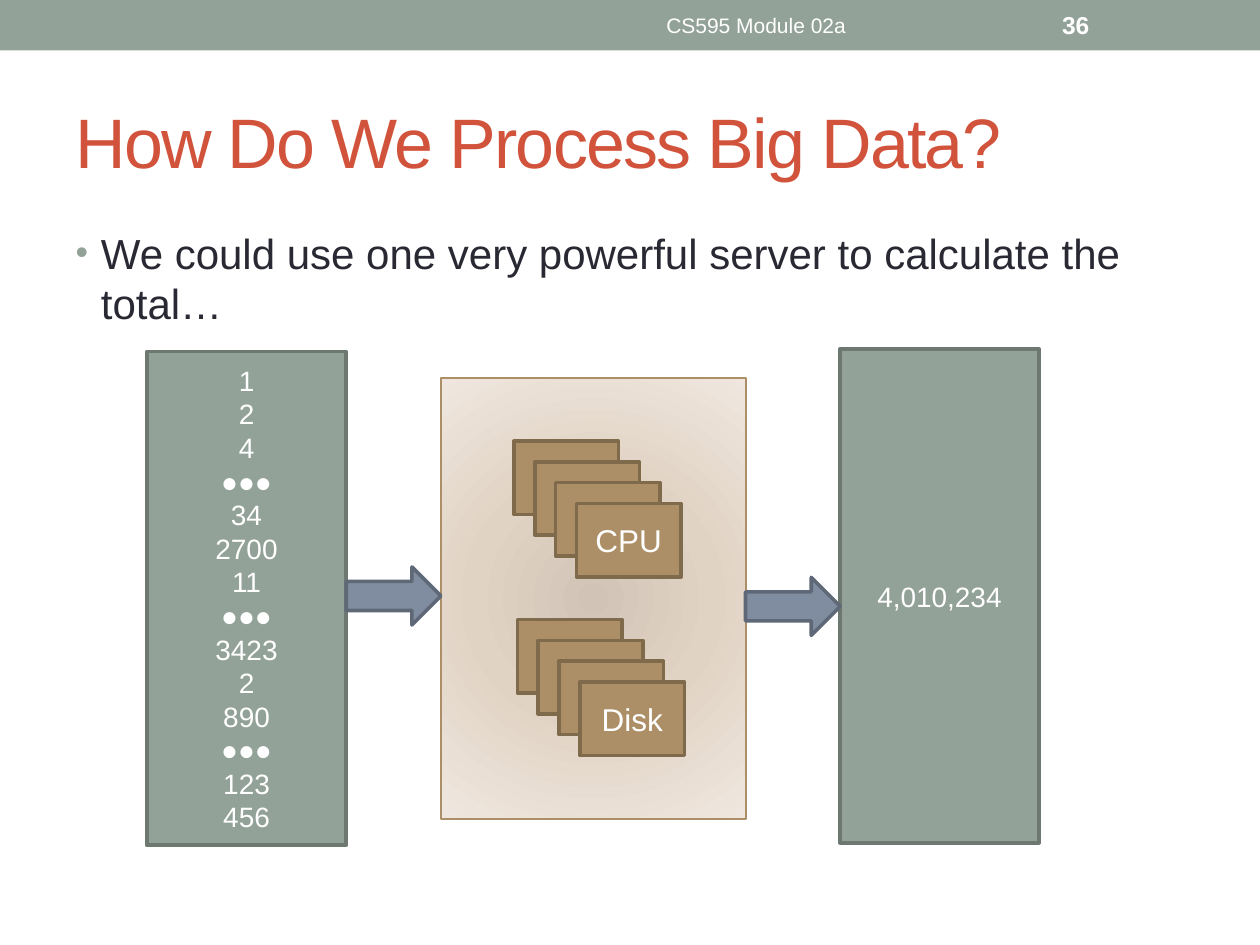
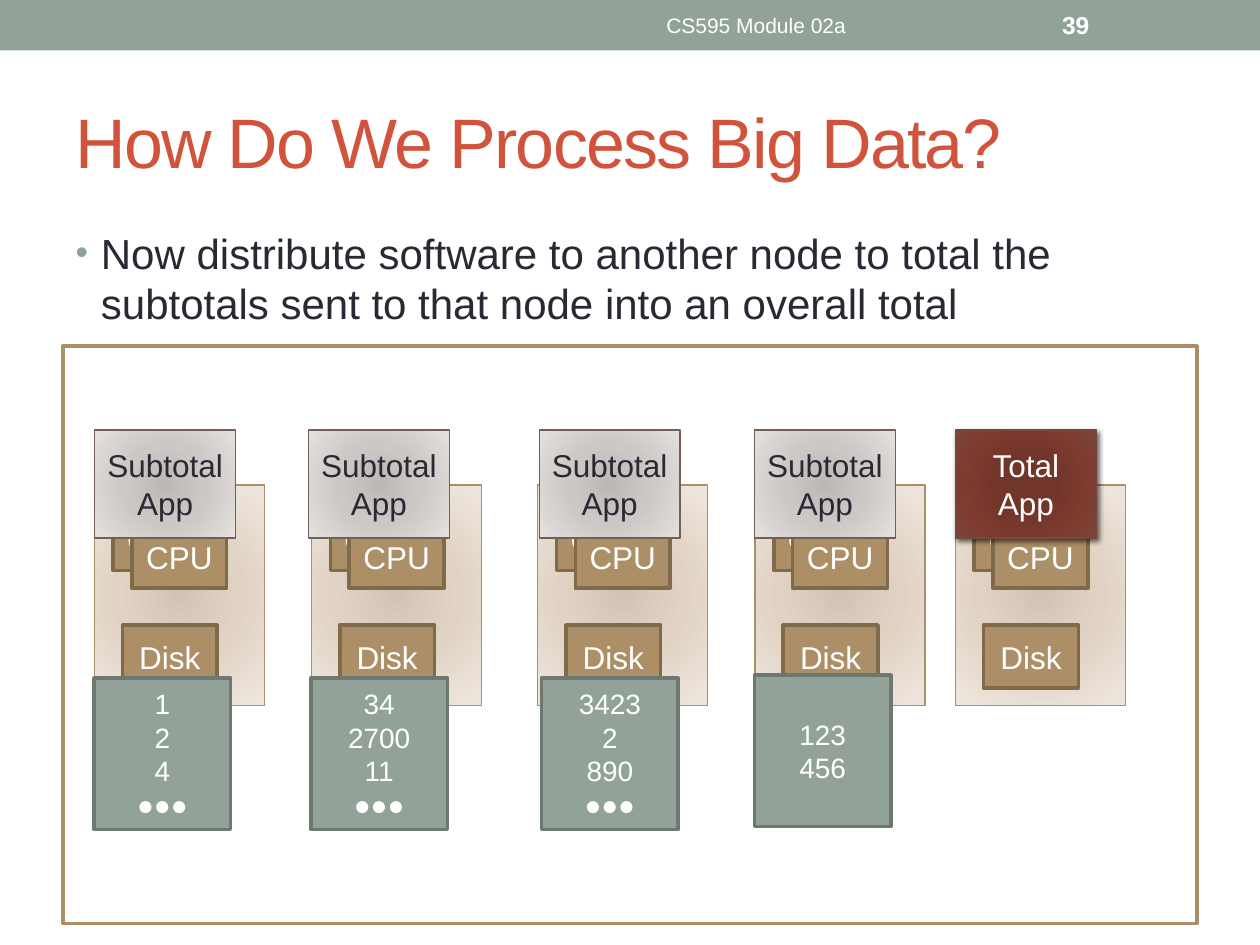
from lxml import etree
from pptx import Presentation
from pptx.dml.color import RGBColor
from pptx.enum.shapes import MSO_SHAPE
from pptx.enum.text import MSO_ANCHOR, MSO_AUTO_SIZE, PP_ALIGN
from pptx.oxml import parse_xml
from pptx.oxml.ns import qn
from pptx.util import Cm, Pt

RECTANGLE, ARROW = MSO_SHAPE.RECTANGLE, MSO_SHAPE.RIGHT_ARROW
MIDDLE, TOP = MSO_ANCHOR.MIDDLE, MSO_ANCHOR.TOP
LEFT, CENTER = PP_ALIGN.LEFT, PP_ALIGN.CENTER
NO_FIT = MSO_AUTO_SIZE.NONE
DRAWING = "http://schemas.openxmlformats.org/drawingml/2006/main"

COLORS = {
    "sage": "93A299", "sage_edge": "6D7871", "red": "D2533C", "ink": "292934",
    "white": "FFFFFF", "tan": "AD8F67", "tan_edge": "806A4C",
    "slate": "808DA0", "slate_edge": "5F6876", "app_edge": "726056",
    "total_edge": "79463D", "black": "000000",
}
GRADIENTS = {
    "server": [(0, "D1C4B6"), (45, "E1D3C4"), (100, "EFE7DF")],
    "app": [(0, "BDB8B6"), (45, "CDC7C5"), (100, "E4E1DF")],
    "total": [(0, "743327"), (34, "72352A"), (70, "7F3B2F"), (100, "79463D")],
}
STYLES = {
    "band": ("sage", None, 0, "white", 16),
    "frame": ("white", "tan", 2.08, "ink", 18),
    "server": ("server", "tan", 0.75, "ink", 18),
    "card": ("tan", "tan_edge", 2.08, "white", 18),
    "data": ("sage", "sage_edge", 2.08, "white", 16),
    "arrow": ("slate", "slate_edge", 2.08, "white", 16),
    "app": ("app", "app_edge", 0.75, "ink", 18),
    "total": ("total", "total_edge", 0.75, "white", 18),
}

TITLE = "How Do We Process Big Data?"
FOOTER = "CS595 Module 02a"
DOTS = "●●●"
PAGES = [
    (36, "We could use one very powerful server to calculate the total…", 3.38),
    (39, "Now distribute software to another node to total the subtotals "
         "sent to that node into an overall total", 13.54),
]
CHUNKS = [["1", "2", "4", DOTS], ["34", "2700", "11", DOTS],
          ["3423", "2", "890", DOTS], ["123", "456"]]
GRAND_TOTAL = "4,010,234"
STACKS = [("CPU", 10.36, 8.89), ("Disk", 10.43, 12.49)]
STACK_DEPTH, STACK_STEP = 4, 0.42
ARROWS = [(6.98, 11.43), (15.03, 11.64)]
NODES = [
    {"node": 1.9, "app": 1.91, "data": 1.9, "data_top": 13.67},
    {"node": 6.28, "app": 6.22, "data": 6.27, "data_top": 13.67},
    {"node": 10.84, "app": 10.87, "data": 10.92, "data_top": 13.67},
    {"node": 15.22, "app": 15.21, "data": 15.21, "data_top": 13.61},
    {"node": 19.26, "app": 19.26},
]
NODE_TOP, APP_TOP = 9.78, 8.67
NODE_CARDS = [("CPU", 0.38, 0.45), ("CPU", 0.76, 0.81), ("Disk", 0.57, 2.82)]


def rgb(name):
    return RGBColor.from_string(COLORS[name])


def set_all(target, values):
    for name, value in values.items():
        setattr(target, name, value)


def write(shape, lines, size, color, align=CENTER, anchor=MIDDLE, bold=False):
    frame = shape.text_frame
    set_all(frame, {"word_wrap": True, "auto_size": NO_FIT, "vertical_anchor": anchor})
    frame.text = "\n".join(lines)
    for para in frame.paragraphs:
        para.alignment = align
        for span in para.runs:
            set_all(span.font, {"name": "Arial", "size": Pt(size), "bold": bold})
            span.font.color.rgb = rgb(color)
    return frame


def fill_radial(box, stops):
    marks = "".join(f'<a:gs pos="{at * 1000}"><a:srgbClr val="{color}"/></a:gs>'
                    for at, color in stops)
    gradient = parse_xml(
        f'<a:gradFill xmlns:a="{DRAWING}" rotWithShape="1"><a:gsLst>{marks}</a:gsLst>'
        '<a:path path="circle"><a:fillToRect l="100000" t="100000" r="100000" '
        'b="100000"/></a:path></a:gradFill>')
    box.element.spPr.find(qn("a:prstGeom")).addnext(gradient)


def add_box(page, style, left, top, width, height, lines=(), kind=RECTANGLE):
    fill, edge, weight, ink, size = STYLES[style]
    box = page.shapes.add_shape(kind, Cm(left), Cm(top), Cm(width), Cm(height))
    box.shadow.inherit = False
    if fill in GRADIENTS:
        fill_radial(box, GRADIENTS[fill])
    else:
        box.fill.solid()
        box.fill.fore_color.rgb = rgb(fill)
    if edge:
        box.line.color.rgb = rgb(edge)
        box.line.width = Pt(weight)
    else:
        box.line.fill.background()
    if lines:
        frame = write(box, lines, size, ink)
        set_all(frame, {"margin_left": Cm(0.1), "margin_right": Cm(0.1)})
    return box


def cast_shadow(box):
    effects = box.element.spPr.find(qn("a:effectLst"))
    effects.append(parse_xml(
        f'<a:outerShdw xmlns:a="{DRAWING}" blurRad="{Pt(3)}" dist="{Pt(2)}" '
        f'dir="2700000" rotWithShape="0"><a:srgbClr val="{COLORS["black"]}">'
        '<a:alpha val="60000"/></a:srgbClr></a:outerShdw>'))


def add_label(page, text, left, width, **look):
    label = page.shapes.add_textbox(Cm(left), Cm(0.05), Cm(width), Cm(0.91))
    write(label, [text], color="white", **look)


def place(shape, left, top, width, height):
    set_all(shape, {"left": Cm(left), "top": Cm(top),
                    "width": Cm(width), "height": Cm(height)})


def add_bullet(para):
    properties = para._p.get_or_add_pPr()
    properties.set("marL", str(Cm(0.51)))
    properties.set("indent", str(-Cm(0.51)))
    color = etree.SubElement(properties, qn("a:buClr"))
    etree.SubElement(color, qn("a:srgbClr"), val=COLORS["sage"])
    etree.SubElement(properties, qn("a:buSzPct"), val="85000")
    etree.SubElement(properties, qn("a:buFont"), typeface="Arial")
    etree.SubElement(properties, qn("a:buChar"), char="•")


def add_page(deck, number, bullet, body_height):
    page = deck.slides.add_slide(deck.slide_layouts[1])
    title, body = page.shapes.title, page.placeholders[1]
    place(title, 1.27, 1.47, 22.86, 2.74)
    heading = write(title, [TITLE], 40, "red", LEFT)
    heading.paragraphs[0].runs[0].font._element.set("spc", "-100")
    place(body, 1.27, 4.45, 22.86, body_height)
    add_bullet(write(body, [bullet], 24, "ink", LEFT, TOP).paragraphs[0])
    add_label(page, FOOTER, 9.53, 11.43, size=12)
    add_label(page, str(number), 21.16, 2.97, size=14, align=LEFT, bold=True)
    return page


def draw_single_server(page):
    add_box(page, "server", 8.89, 7.62, 6.15, 8.89)
    for label, left, top in STACKS:
        for level in range(STACK_DEPTH):
            shift = level * STACK_STEP
            lines = [label] if level == STACK_DEPTH - 1 else []
            add_box(page, "card", left + shift, top + shift, 2.11, 1.48, lines)
    numbers = [number for chunk in CHUNKS for number in chunk]
    add_box(page, "data", 2.96, 7.09, 4.02, 9.95, numbers)
    add_box(page, "data", 16.93, 7.04, 4.02, 9.95, [GRAND_TOTAL])
    for left, top in ARROWS:
        add_box(page, "arrow", left, top, 1.91, 1.17, kind=ARROW)


def draw_cluster(page):
    frame = add_box(page, "frame", 1.27, 6.98, 22.86, 11.64)
    page.shapes.title.element.addprevious(frame.element)
    for index, node in enumerate(NODES):
        add_box(page, "server", node["node"], NODE_TOP, 3.43, 4.45)
        for label, across, down in NODE_CARDS:
            add_box(page, "card", node["node"] + across, NODE_TOP + down,
                    1.91, 1.27, [label])
        if "data" in node:
            add_box(page, "data", node["data"], node["data_top"], 2.75, 3.05,
                    CHUNKS[index])
            add_box(page, "app", node["app"], APP_TOP, 2.84, 2.18, ["Subtotal", "App"])
        else:
            cast_shadow(add_box(page, "total", node["app"], APP_TOP, 2.84, 2.18,
                                ["Total", "App"]))


deck = Presentation()
deck.slide_width, deck.slide_height = Cm(25.4), Cm(19.05)
single, cluster = [add_page(deck, *content) for content in PAGES]
band = add_box(single, "band", 0, 0, 25.4, 1.02)
deck.slide_master.shapes.element.insert(2, band.element)
draw_single_server(single)
draw_cluster(cluster)
deck.save("out.pptx")
